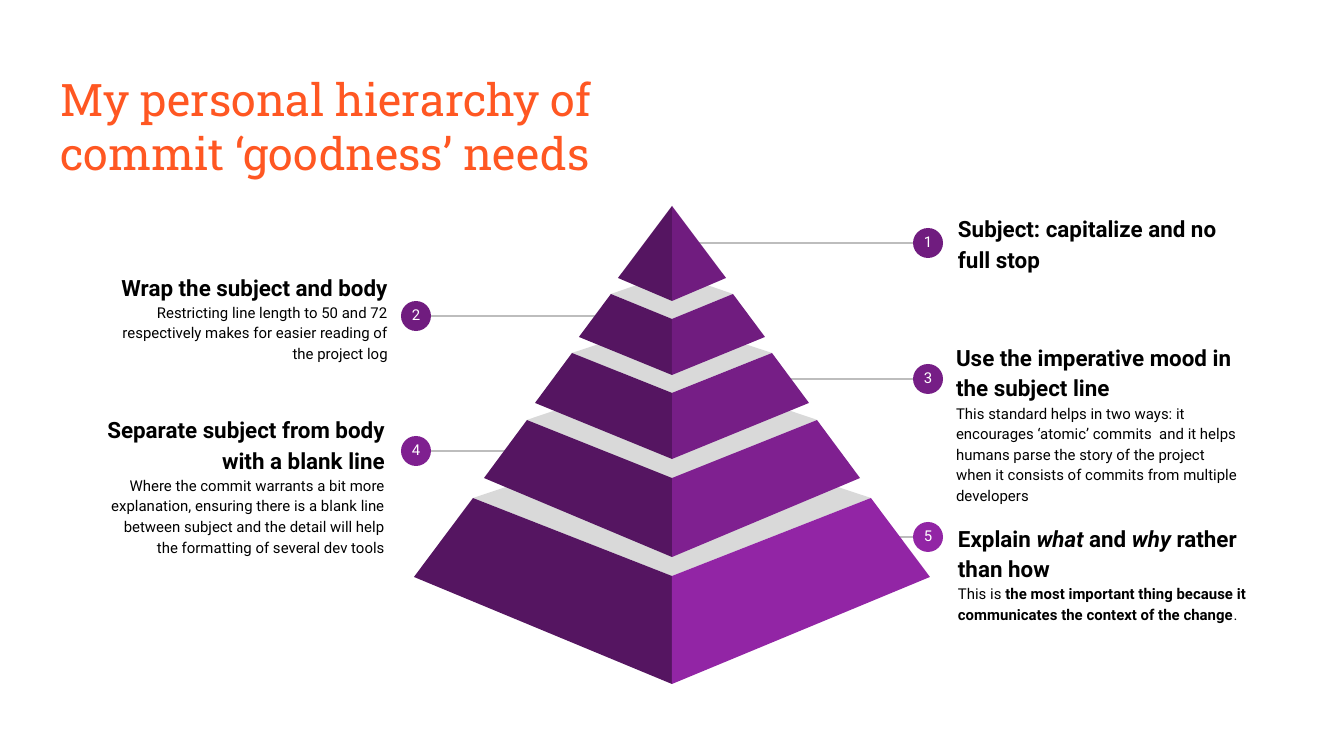
from lxml import etree
from pptx import Presentation
from pptx import util as u
from pptx.dml.color import RGBColor
from pptx.enum import shapes, text
from pptx.oxml import ns

PX = 914400 / 134.4
LEFT, CENTER, RIGHT = text.PP_ALIGN.LEFT, text.PP_ALIGN.CENTER, text.PP_ALIGN.RIGHT
AXIS = 672


def px(value):
    return u.Emu(round(value * PX))


def color(value):
    return RGBColor.from_string(value)


def write(para, words, size=8, font="Roboto", fill="000000", bold=False, italic=False):
    span = para.add_run()
    span.text = words
    span.font.size = u.Pt(size)
    span.font.name = font
    span.font.color.rgb = color(fill)
    span.font.bold = bold
    span.font.italic = italic


class Slide:
    margin = 13
    dark = "551561"
    gap = "D9D9D9"
    rule = "BDBDBD"

    def __init__(self, deck):
        self.page = deck.slides.add_slide(deck.slide_layouts[5])

    def frame(self, box, anchor):
        frame = box.text_frame
        frame.word_wrap = True
        frame.auto_size = text.MSO_AUTO_SIZE.NONE
        frame.vertical_anchor = anchor
        frame.margin_left = frame.margin_right = px(self.margin)
        frame.margin_top = frame.margin_bottom = px(self.margin)
        return frame

    def title(self, words, left, top, width, height):
        box = self.page.shapes.title
        box.left, box.top, box.width, box.height = map(px, (left, top, width, height))
        para = self.frame(box, text.MSO_ANCHOR.BOTTOM).paragraphs[0]
        para.alignment = LEFT
        write(para, words, size=24, font="Roboto Slab", fill="FF5722")

    def text_box(self, left, top, width, height, anchor):
        box = self.page.shapes.add_textbox(*map(px, (left, top, width, height)))
        return self.frame(box, anchor)

    def line(self, start, end, y):
        line = self.page.shapes.add_connector(
            shapes.MSO_CONNECTOR.STRAIGHT, px(start), px(y), px(end), px(y))
        line.line.color.rgb = color(self.rule)
        line.line.width = u.Pt(0.75)
        etree.SubElement(line._element.spPr, ns.qn("a:effectLst"))

    def paint(self, shape, fill):
        shape.shadow.inherit = False
        shape.fill.solid()
        shape.fill.fore_color.rgb = color(fill)
        shape.line.fill.background()

    def polygon(self, points, fill):
        builder = self.page.shapes.build_freeform(*points[0], scale=PX)
        builder.add_line_segments(points[1:], close=True)
        self.paint(builder.convert_to_shape(), fill)

    def badge(self, number, x, y, fill):
        circle = self.page.shapes.add_shape(
            shapes.MSO_SHAPE.OVAL, *map(px, (x - 15, y - 15, 30, 30)))
        self.paint(circle, fill)
        para = self.text_box(x - 18, y - 23, 36, 46, text.MSO_ANCHOR.TOP).paragraphs[0]
        para.alignment = CENTER
        para.space_after = u.Pt(16)
        write(para, str(number), fill="FFFFFF")

    def label(self, area, align, heading, body):
        frame = self.text_box(*area, text.MSO_ANCHOR.MIDDLE)
        self.label_paragraph(frame.paragraphs[0], align, heading, size=12, bold=True)
        if body:
            para = frame.add_paragraph()
            self.label_paragraph(para, align, body)
            para.space_after = u.Pt(16)

    def label_paragraph(self, para, align, spans, **style):
        para.alignment = align
        para.line_spacing = 1.15
        for words, extra in spans:
            write(para, words, **{**style, **extra})

    def tier(self, fill, upper_half, upper, middle, lower_half, lower, bottom, back):
        if back:
            self.polygon([(AXIS - upper_half, upper), (AXIS, middle),
                          (AXIS + upper_half, upper), (AXIS, back)], self.gap)
        for side, shade in ((-1, self.dark), (1, fill)):
            self.polygon([(AXIS + side * upper_half, upper), (AXIS, middle),
                          (AXIS, bottom), (AXIS + side * lower_half, lower)], shade)


TIERS = [
    ("701C7F", 0, 206, 206, 54, 278, 301, None),
    ("701C7F", 61, 294, 319, 93, 337, 375, 273),
    ("761E86", 100, 353, 393, 137, 403, 459, 320),
    ("7F2090", 145, 420, 478, 188, 478, 557, 371),
    ("9225A5", 199, 498, 576, 258, 577, 684, 432),
]

ITALIC = {"italic": True}
BOLD = {"bold": True}
NEEDS = [
    (243, 695, RIGHT, (945, 187, 313, 110),
     [("Subject: capitalize and no full stop", {})], []),
    (316, 598, LEFT, (88, 261, 313, 110),
     [("Wrap the subject and body", {})],
     [("Restricting line length to 50 and 72 respectively makes for easier "
       "reading of the project log", {})]),
    (379, 774, RIGHT, (943, 323, 313, 198),
     [("Use the imperative mood in the subject line", {})],
     [("This standard helps in two ways: it encourages ‘atomic’ commits  and it "
       "helps humans parse the story of the project when it consists of commits "
       "from multiple developers", {})]),
    (451, 532, LEFT, (88, 429, 310, 110),
     [("Separate subject from body with a blank line", {})],
     [("Where the commit warrants a bit more explanation, ensuring there is a "
       "blank line between subject and the detail will help the formatting of "
       "several dev tools", {})]),
    (537, 849, RIGHT, (945, 517, 331, 110),
     [("Explain ", {}), ("what ", ITALIC), ("and ", {}), ("why ", ITALIC),
      ("rather than how", {})],
     [("This is ", {}),
      ("the most important thing because it communicates the context of the change", BOLD),
      (".", {})]),
]


def main():
    deck = Presentation()
    deck.slide_width, deck.slide_height = px(1344), px(756)
    slide = Slide(deck)
    slide.title("My personal hierarchy of commit ‘goodness’ needs", 47, 80, 659, 112)
    for number, need in enumerate(NEEDS, 1):
        y, start, side, area, heading, body = need
        badge_x = 928 if side == RIGHT else 416
        slide.line(start, badge_x, y)
        slide.badge(number, badge_x, y, TIERS[number - 1][0])
        slide.label(area, LEFT if side == RIGHT else RIGHT, heading, body)
    for tier in reversed(TIERS):
        slide.tier(*tier)
    deck.save("out.pptx")


if __name__ == "__main__":
    main()
